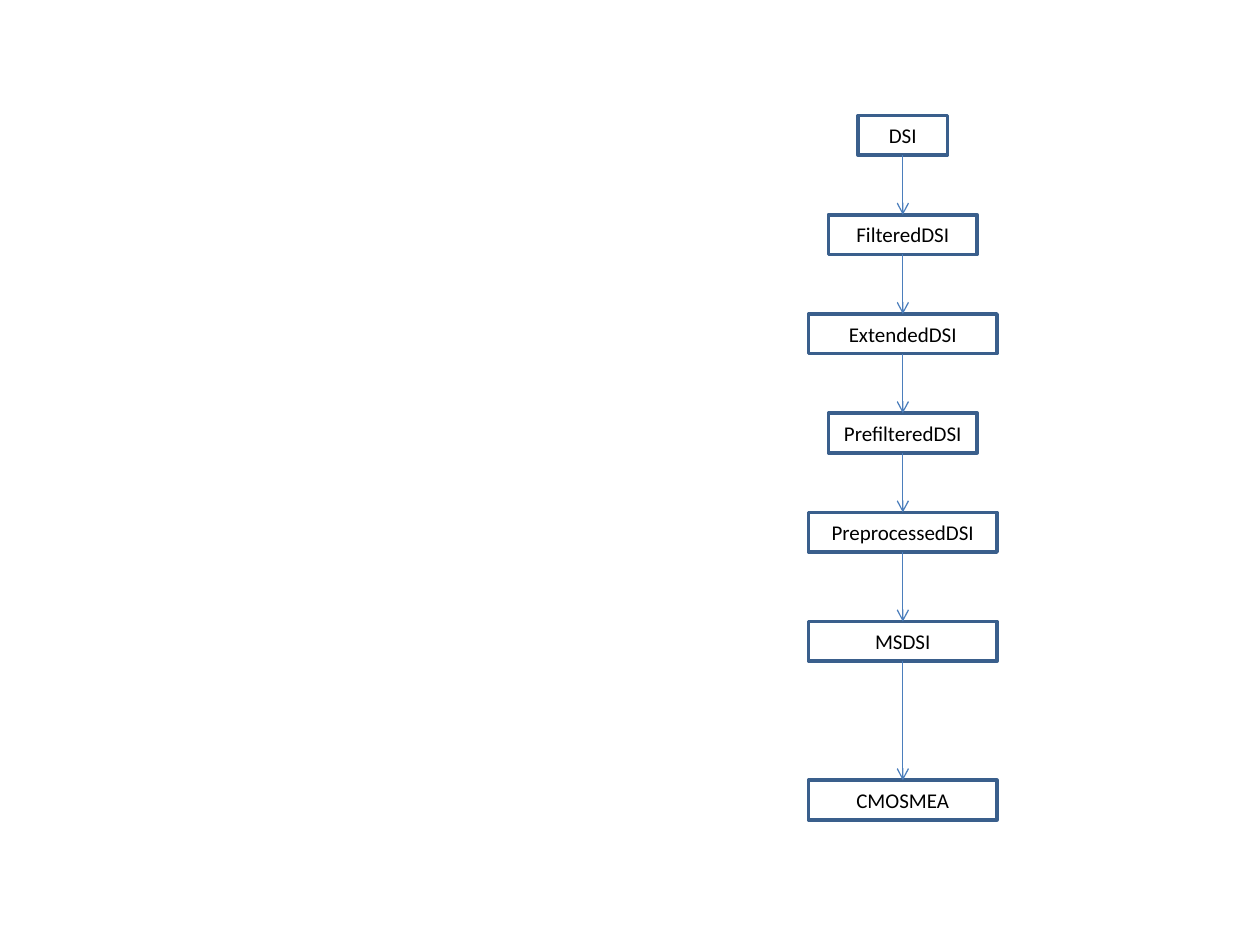
from pptx import Presentation, util as u
from pptx.dml.color import RGBColor
from pptx.enum import shapes, text
from pptx.oxml.ns import qn
from lxml import etree

hues = {"edge": "3A5F8C", "arrow": "4B7EBC", "text": "000000"}
mid, high = 18.2, 0.8
steps = [
    ("DSI", 2.33, 1.8),
    ("FilteredDSI", 4.33, 3),
    ("ExtendedDSI", 6.33, 3.8),
    ("PrefilteredDSI", 8.33, 3),
    ("PreprocessedDSI", 10.33, 3.8),
    ("MSDSI", 12.53, 3.8),
    ("CMOSMEA", 15.73, 3.8),
]

deck = Presentation()
deck.slide_width, deck.slide_height = u.Cm(25.4), u.Cm(19.05)
slide = deck.slides.add_slide(deck.slide_layouts[6])

boxes = []
for name, top, wide in steps:
    box = slide.shapes.add_shape(
        shapes.MSO_SHAPE.RECTANGLE,
        u.Cm(mid - wide / 2), u.Cm(top), u.Cm(wide), u.Cm(high))
    box.shadow.inherit = False
    box.fill.background()
    box.line.color.rgb = RGBColor.from_string(hues["edge"])
    box.line.width = u.Pt(2)
    frame = box.text_frame
    frame.text = name
    frame.vertical_anchor = text.MSO_ANCHOR.MIDDLE
    para = frame.paragraphs[0]
    para.alignment = text.PP_ALIGN.CENTER
    para.font.name = "Calibri"
    para.font.size = u.Pt(12)
    para.font.color.rgb = RGBColor.from_string(hues["text"])
    boxes.append(box)

for start, end in zip(boxes, boxes[1:]):
    arrow = slide.shapes.add_connector(
        shapes.MSO_CONNECTOR.STRAIGHT, 0, 0, 0, 0)
    arrow.begin_connect(start, 2)
    arrow.end_connect(end, 0)
    arrow.line.color.rgb = RGBColor.from_string(hues["arrow"])
    arrow.line.width = u.Pt(0.75)
    props = arrow.element.spPr
    etree.SubElement(props.find(qn("a:ln")), qn("a:tailEnd"), type="arrow")
    etree.SubElement(props, qn("a:effectLst"))

deck.save("out.pptx")
